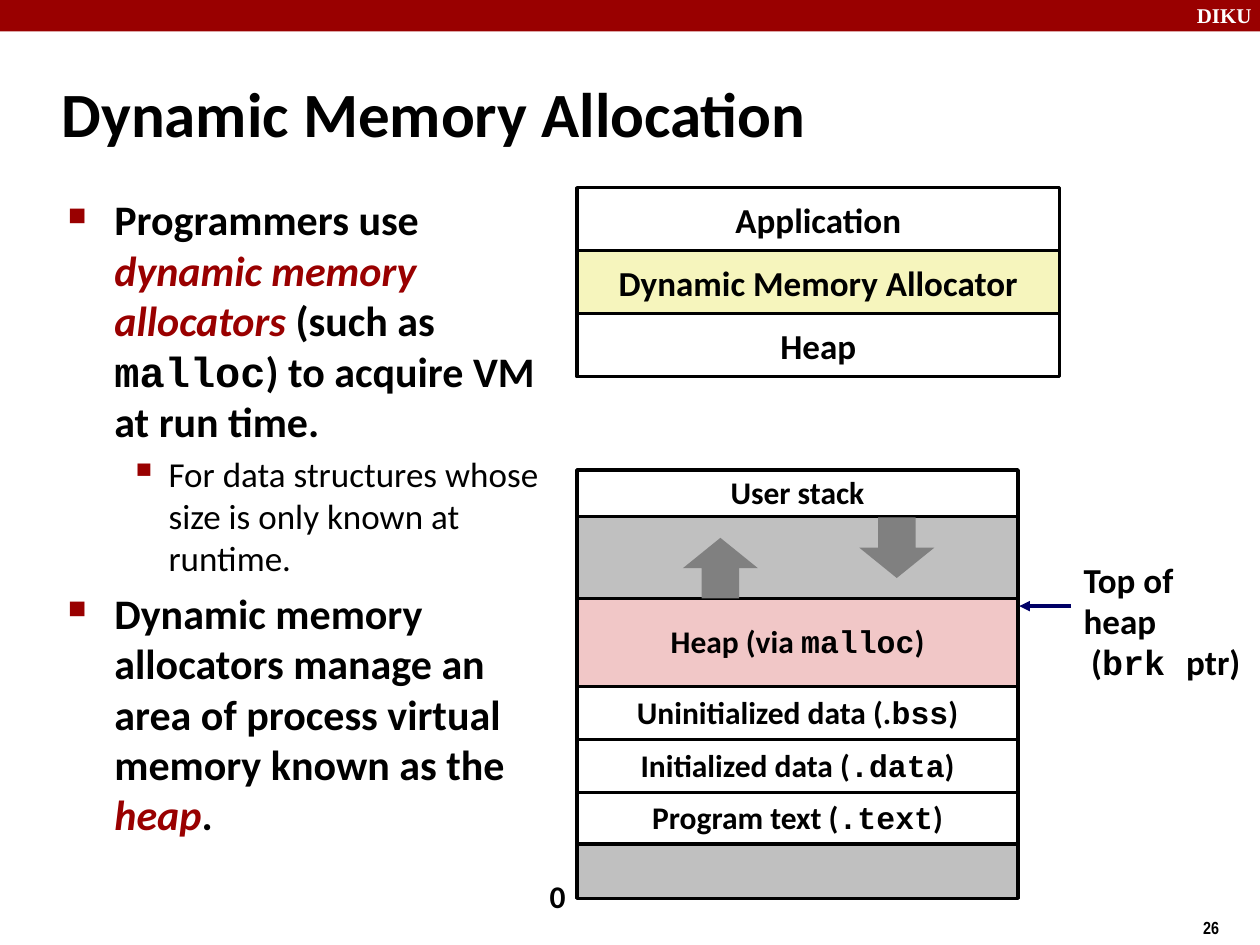
from itertools import accumulate

from lxml import etree
from pptx import Presentation
from pptx.dml.color import RGBColor
from pptx.enum.shapes import MSO_CONNECTOR, MSO_SHAPE
from pptx.enum.text import MSO_ANCHOR, PP_ALIGN
from pptx.oxml.ns import qn
from pptx.util import Inches, Pt

RECT, UP, DOWN = MSO_SHAPE.RECTANGLE, MSO_SHAPE.UP_ARROW, MSO_SHAPE.DOWN_ARROW
LINE = MSO_CONNECTOR.STRAIGHT
LEFT, MID = PP_ALIGN.LEFT, PP_ALIGN.CENTER
TOP, CENTER = MSO_ANCHOR.TOP, MSO_ANCHOR.MIDDLE

RED = RGBColor(0x99, 0x00, 0x00)
BLACK = RGBColor(0x00, 0x00, 0x00)
WHITE = RGBColor(0xFF, 0xFF, 0xFF)
NAVY = RGBColor(0x00, 0x00, 0x66)
SILVER = RGBColor(0xC0, 0xC0, 0xC0)
GRAY = RGBColor(0x80, 0x80, 0x80)
PINK = RGBColor(0xF1, 0xC7, 0xC7)
YELLOW = RGBColor(0xF6, 0xF5, 0xBD)

SANS, MONO = "Calibri", "Courier New"
CELL = Inches(0.25)  # the page is a grid of 40 columns by 30 rows


def grid(col, row, cols, rows):
    """Box in slide units from grid cells."""
    return tuple(int(n * CELL) for n in (col, row, cols, rows))


def part(box, x, y, w, h):
    """Box inside another box, given as shares of it."""
    left, top, wide, high = box
    return (int(left + x * wide), int(top + y * high),
            int(w * wide), int(h * high))


def fill_text(para, runs, size, bold=True, color=BLACK, font=SANS):
    """Add runs: plain strings, or (text, "code") and (text, "key") pairs."""
    for item in runs:
        text, kind = (item, "") if isinstance(item, str) else item
        run = para.add_run()
        run.text = text
        run.font.name = MONO if kind == "code" else font
        run.font.size = Pt(size)
        run.font.bold = bold
        run.font.italic = kind == "key"
        run.font.color.rgb = RED if kind == "key" else color


def add_text(slide, box, lines, size, wrap=False, anchor=TOP, spacing=None, **style):
    frame = slide.shapes.add_textbox(*box).text_frame
    frame.word_wrap = wrap
    frame.vertical_anchor = anchor
    for i, runs in enumerate(lines):
        para = frame.add_paragraph() if i else frame.paragraphs[0]
        para.line_spacing = spacing
        fill_text(para, runs, size, **style)
    return frame


def add_form(slide, form, box, fill, edge=None):
    shape = slide.shapes.add_shape(form, *box)
    shape.shadow.inherit = False
    shape.fill.solid()
    shape.fill.fore_color.rgb = fill
    if edge is None:
        shape.line.fill.background()
    else:
        shape.line.color.rgb = edge
        shape.line.width = Pt(2)
    return shape


def add_rows(slide, box, rows, size, spacing=None):
    """Stack framed rows of (height, fill, runs); return the row boxes."""
    total = sum(row[0] for row in rows)
    tops = accumulate((row[0] for row in rows), initial=0)
    areas = []
    for top, (high, fill, runs) in zip(tops, rows):
        area = part(box, 0, top / total, 1, high / total)
        areas.append(area)
        frame = add_form(slide, RECT, area, fill, BLACK).text_frame
        if runs:
            frame.word_wrap = False
            frame.vertical_anchor = CENTER
            para = frame.paragraphs[0]
            para.alignment = MID
            para.line_spacing = spacing
            fill_text(para, runs, size)
    return areas


def set_bullet(para, char, share, left, hang):
    props = para._p.get_or_add_pPr()
    props.set("marL", str(Inches(left)))
    props.set("indent", str(-Inches(hang)))
    color = etree.SubElement(props, qn("a:buClr"))
    etree.SubElement(color, qn("a:srgbClr"), val=str(RED))
    etree.SubElement(props, qn("a:buSzPct"), val=str(share * 1000))
    etree.SubElement(props, qn("a:buChar"), char=char)


def draw_banner(slide, box):
    add_form(slide, RECT, box, RED)
    add_text(slide, part(box, 0.94, -0.12, 0.07, 1.2), [["DIKU"]], 12,
             color=WHITE, font="Times New Roman")


def draw_list(slide, box, items):
    frame = slide.shapes.add_textbox(*box).text_frame
    frame.word_wrap = True
    for i, (level, runs) in enumerate(items):
        para = frame.add_paragraph() if i else frame.paragraphs[0]
        para.level = level
        if level:
            set_bullet(para, "▪", 110, 0.81, 0.31)
        else:
            set_bullet(para, "■", 60, 0.38, 0.37)
        size = 20 if level else 24
        if i:
            para.space_before = Pt(size / 5)
        fill_text(para, runs, size, bold=not level)


def draw_layers(slide, box):
    add_rows(slide, box, [
        (1, WHITE, ["Application"]),
        (1, YELLOW, ["Dynamic Memory Allocator"]),
        (1, WHITE, ["Heap"]),
    ], 20)


def draw_memory(slide, box):
    areas = add_rows(slide, box, [
        (0.37, WHITE, ["User stack"]),
        (0.65, SILVER, None),
        (0.70, PINK, ["Heap (via ", ("malloc", "code"), ")"]),
        (0.42, WHITE, ["Uninitialized data (.", ("bss", "code"), ")"]),
        (0.42, WHITE, ["Initialized data (", (".data", "code"), ")"]),
        (0.41, WHITE, ["Program text (", (".text", "code"), ")"]),
        (0.43, SILVER, None),
    ], 18, 0.98)
    # Growth of heap and stack into the free gap
    gap = areas[1]
    add_form(slide, DOWN, part(gap, 0.64, 0.01, 0.17, 0.74), GRAY)
    add_form(slide, UP, part(gap, 0.24, 0.26, 0.17, 0.74), GRAY)
    # Lowest address
    add_text(slide, part(box, -0.09, 0.94, 0.09, 0.12), [["0"]], 18, spacing=0.98)


def draw_pointer(slide, box):
    frame = add_text(slide, part(box, 0.21, 0, 0.79, 1),
                     [["Top of heap"], ["(", ("brk ", "code"), "ptr)"]],
                     20, spacing=0.98)
    props = frame.paragraphs[1]._p.get_or_add_pPr()
    props.set("marL", str(Inches(0.06)))
    # Arrow to the heap's upper edge
    tip_x, y, span, _ = part(box, 0, 0.54, 0.21, 0)
    line = slide.shapes.add_connector(LINE, tip_x + span, y, tip_x, y)
    line.line.color.rgb = NAVY
    line.line.width = Pt(2)
    etree.SubElement(line.line._get_or_add_ln(), qn("a:tailEnd"), type="triangle")
    etree.SubElement(line._element.spPr, qn("a:effectLst"))


def main():
    deck = Presentation()
    _, _, deck.slide_width, deck.slide_height = grid(0, 0, 40, 30)
    slide = deck.slides.add_slide(deck.slide_layouts[6])

    draw_banner(slide, grid(0, 0, 40, 1))
    add_text(slide, grid(37.8, 28.92, 3, 1.16), [["26"]], 10, font="Arial Narrow")
    add_text(slide, grid(1.56, 1.92, 33.2, 3.32), [["Dynamic Memory Allocation"]],
             36, wrap=True, anchor=CENTER)
    draw_list(slide, grid(1.72, 5.96, 16.56, 21.76), [
        (0, ["Programmers use ", ("dynamic memory allocators ", "key"),
             "(such as ", ("malloc", "code"), ") to acquire VM at run time."]),
        (1, ["For data structures whose size is only known at runtime."]),
        (0, ["Dynamic memory allocators manage an area of process virtual "
             "memory known as the ", ("heap", "key"), "."]),
    ])
    draw_layers(slide, grid(18.32, 5.96, 15.32, 6))
    draw_memory(slide, grid(18.32, 14.92, 14, 13.6))
    draw_pointer(slide, grid(32.36, 17.6, 7.84, 3.04))
    deck.save("out.pptx")


if __name__ == "__main__":
    main()
